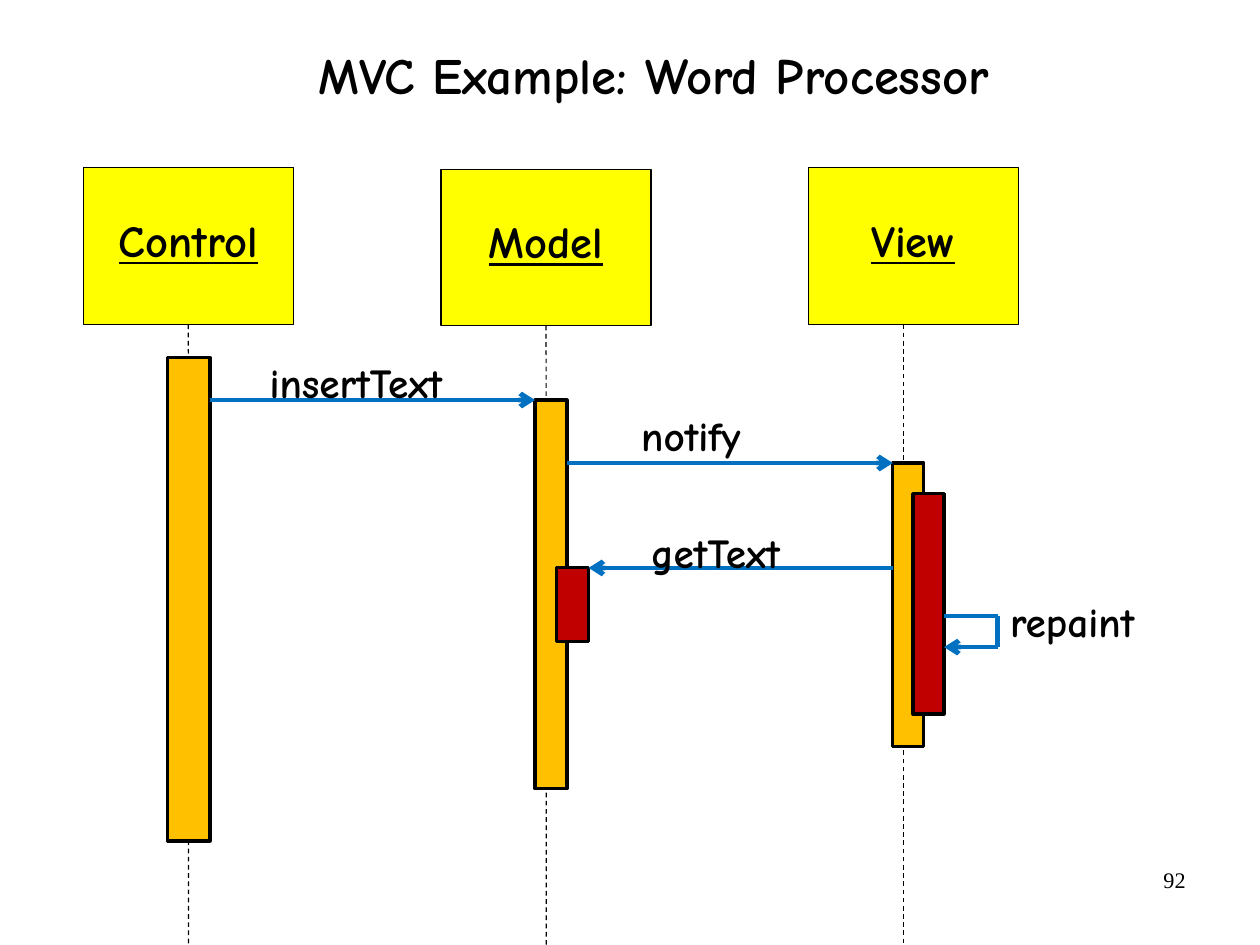
from lxml import etree
from pptx import Presentation
from pptx import util as u
from pptx.dml.color import RGBColor
from pptx.enum import dml, shapes, text
from pptx.oxml import ns

COMIC = "Comic Neue"
BLACK, YELLOW, ORANGE, RED, BLUE = "000000", "FFFF00", "FFC000", "C00000", "0070C0"
WIDTH, HEIGHT = 28, 21
HEAD_WIDTH, HEAD_HEIGHT = 4.67, 3.48


def color(target, value):
    target.rgb = RGBColor.from_string(value)


def write(paragraph, content, size, align, font=COMIC, bold=True, underline=False, spacing=0.9):
    paragraph.alignment = align
    paragraph.line_spacing = spacing
    run = paragraph.add_run()
    run.text = content
    run.font.name = font
    run.font.size = u.Pt(size)
    run.font.bold = bold
    run.font.underline = underline
    color(run.font.color, BLACK)


def add_text(slide, box, content, size, align=text.PP_ALIGN.LEFT,
             anchor=text.MSO_ANCHOR.TOP, **style):
    shape = slide.shapes.add_textbox(*map(u.Cm, box))
    shape.text_frame.word_wrap = True
    shape.text_frame.vertical_anchor = anchor
    write(shape.text_frame.paragraphs[0], content, size, align, **style)


def add_box(slide, box, fill, line_width):
    shape = slide.shapes.add_shape(shapes.MSO_SHAPE.RECTANGLE, *map(u.Cm, box))
    shape.shadow.inherit = False
    shape.fill.solid()
    color(shape.fill.fore_color, fill)
    color(shape.line.color, BLACK)
    shape.line.width = u.Pt(line_width)
    return shape


def add_head(slide, left, top, name):
    shape = add_box(slide, (left, top, HEAD_WIDTH, HEAD_HEIGHT), YELLOW, 0.75)
    frame = shape.text_frame
    frame.vertical_anchor = text.MSO_ANCHOR.TOP
    frame.margin_top = u.Cm(1.14)
    write(frame.paragraphs[0], name, 28, text.PP_ALIGN.CENTER, underline=True)
    return shape


def add_line(slide, start, end, value, width, arrow=False):
    line = slide.shapes.add_connector(shapes.MSO_CONNECTOR.STRAIGHT, *map(u.Cm, start + end))
    color(line.line.color, value)
    line.line.width = u.Pt(width)
    if arrow:
        tail = etree.SubElement(line.line._get_or_add_ln(), ns.qn("a:tailEnd"))
        tail.set("type", "arrow")
    etree.SubElement(line._element.spPr, ns.qn("a:effectLst"))
    return line


def add_lifeline(slide, x, head_bottom):
    line = add_line(slide, (x, head_bottom), (x, HEIGHT), BLACK, 0.75)
    line.line.dash_style = dml.MSO_LINE.DASH
    return line


def add_participants(slide):
    for name, left, top, x in (("Control", 1.85, 3.73, 4.19),
                               ("Model", 9.8, 3.76, 12.14),
                               ("View", 17.96, 3.73, 20.07)):
        head = add_head(slide, left, top, name)
        lifeline = add_lifeline(slide, x, top + HEAD_HEIGHT)
        if abs(left + HEAD_WIDTH / 2 - x) < 0.02:
            lifeline.begin_connect(head, 2)


def add_activations(slide):
    for box, fill in (((3.73, 7.95, 0.94, 10.74), ORANGE),
                      ((11.89, 8.89, 0.71, 8.64), ORANGE),
                      ((19.84, 10.29, 0.69, 6.3), ORANGE),
                      ((12.37, 12.62, 0.71, 1.63), RED),
                      ((20.29, 10.97, 0.69, 4.9), RED)):
        add_box(slide, box, fill, 2)


def add_messages(slide):
    for start, end, y in ((4.67, 11.89, 8.89), (12.6, 19.84, 10.29), (19.84, 13.08, 12.62)):
        add_line(slide, (start, y), (end, y), BLUE, 3, arrow=True)

    loop = ((20.98, 13.69), (22.17, 13.69), (22.17, 14.38), (20.98, 14.38))
    for index, (start, end) in enumerate(zip(loop, loop[1:])):
        add_line(slide, start, end, BLUE, 3, arrow=index == 2)

    for name, left, top, width in (("insertText", 5.74, 7.95, 5.26),
                                   ("notify", 14, 9.12, 3.18),
                                   ("getText", 14.22, 11.71, 4.09),
                                   ("repaint", 22.2, 13.26, 3.66)):
        add_text(slide, (left, top, width, 1.24), name, 26)


def main():
    presentation = Presentation()
    presentation.slide_width = u.Cm(WIDTH)
    presentation.slide_height = u.Cm(HEIGHT)
    slide = presentation.slides.add_slide(presentation.slide_layouts[6])
    add_text(slide, (1.93, 0, 25.2, 3.48), "MVC Example: Word Processor", 32,
             text.PP_ALIGN.CENTER, text.MSO_ANCHOR.MIDDLE, spacing=0.88)
    add_participants(slide)
    add_activations(slide)
    add_messages(slide)
    add_text(slide, (20.07, 19.13, 6.53, 1.45), "92", 14, text.PP_ALIGN.RIGHT,
             font="Times New Roman", bold=False, spacing=1.0)
    presentation.save("out.pptx")


if __name__ == "__main__":
    main()
